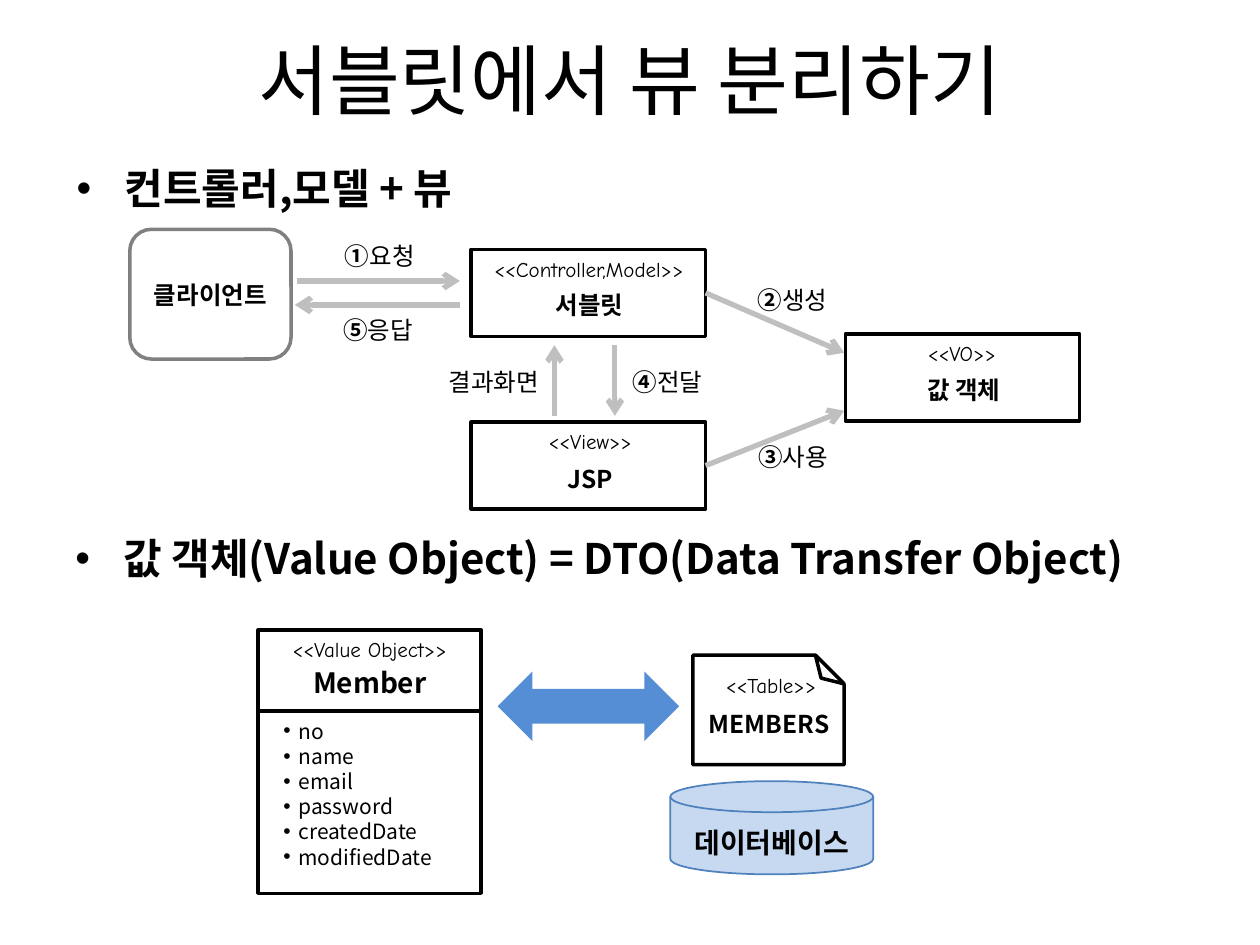
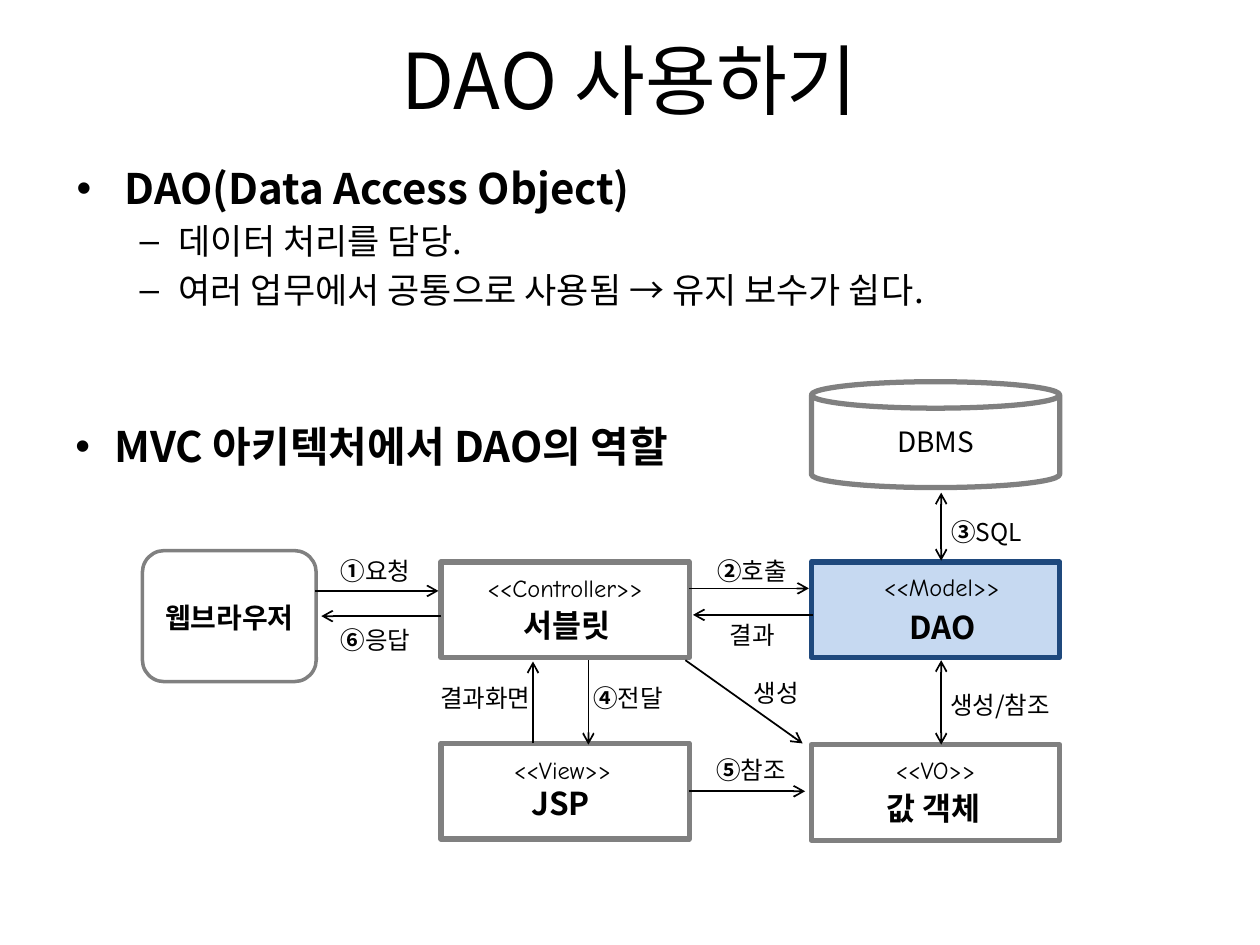
import pptx
import pptx.util
import pptx.dml.color
import pptx.enum.shapes
import pptx.enum.text
import pptx.oxml.ns
import lxml.etree

Inches = pptx.util.Inches
Pt = pptx.util.Pt
qn = pptx.oxml.ns.qn
SHAPE = pptx.enum.shapes.MSO_SHAPE
ALIGN = pptx.enum.text.PP_ALIGN
FIT = pptx.enum.text.MSO_AUTO_SIZE
color = pptx.dml.color.RGBColor.from_string

KOREAN = "Noto Sans CJK KR"
BLACK = "000000"
WHITE = "FFFFFF"
GRAY = "808080"
LIGHT_GRAY = "BFBFBF"
PALE_BLUE = "C6D9F1"
CIRCLED = "①②③④⑤⑥"

base = {"font": KOREAN, "size": 14, "bold": False, "align": ALIGN.CENTER,
        "insets": (0.1, 0.05, 0.1, 0.05), "indent": (0, 0), "level": 0,
        "bullet": None, "before": 0, "fit": FIT.SHAPE_TO_FIT_TEXT}
title_style = base | {"size": 44, "fit": FIT.NONE}
heading = base | {"size": 24, "bold": True, "align": ALIGN.LEFT, "bullet": "•",
                  "indent": (0.38, -0.38), "fit": FIT.NONE}
role_heading = heading | {"indent": (0.31, -0.31), "fit": FIT.SHAPE_TO_FIT_TEXT}
detail = heading | {"size": 20, "bold": False, "bullet": "–", "level": 1,
                    "indent": (0.81, -0.31), "before": 4}
stereotype = base | {"font": "Comic Neue", "size": 12}
large_stereotype = stereotype | {"size": 14}
name = base | {"bold": True}
medium_name = name | {"size": 16}
large_name = name | {"size": 18}
database_name = medium_name | {"insets": (0.1, 0, 0.1, 0)}
label = base | {"insets": (0, 0, 0, 0), "indent": (0.04, 0)}
left_label = label | {"align": ALIGN.LEFT}
right_label = label | {"align": ALIGN.RIGHT}
field = base | {"size": 12, "align": ALIGN.LEFT, "insets": (0, 0.05, 0, 0.05),
                "indent": (0.16, -0.12), "bullet": "•"}
plain = base | {"size": 16, "fit": FIT.NONE}


def write(frame, lines):
    style = lines[0][1]
    left, top, right, bottom = map(Inches, style["insets"])
    frame_format = {"word_wrap": True, "auto_size": style["fit"], "margin_left": left,
                    "margin_top": top, "margin_right": right, "margin_bottom": bottom}
    for attribute, value in frame_format.items():
        setattr(frame, attribute, value)
    for index, (text, style) in enumerate(lines):
        paragraph = frame.paragraphs[0] if index == 0 else frame.add_paragraph()
        paragraph_format = {"alignment": style["align"], "level": style["level"],
                            "space_before": Pt(style["before"])}
        for attribute, value in paragraph_format.items():
            setattr(paragraph, attribute, value)
        properties = paragraph._p.get_or_add_pPr()
        for attribute, value in zip(("marL", "indent"), style["indent"]):
            properties.set(attribute, str(Inches(value)))
        if style["bullet"]:
            lxml.etree.SubElement(properties, qn("a:buFont")).set("typeface", "Arial")
            lxml.etree.SubElement(properties, qn("a:buChar")).set("char", style["bullet"])
        parts = [(text, style["bold"])]
        if text[0] in CIRCLED:
            parts = [(text[0], True), (text[1:], False)]
        for part, bold in parts:
            run = paragraph.add_run()
            run.text = part
            run.font.color.rgb = color(BLACK)
            run_format = {"name": style["font"], "size": Pt(style["size"]), "bold": bold}
            for attribute, value in run_format.items():
                setattr(run.font, attribute, value)
            east_asian = lxml.etree.SubElement(run._r.get_or_add_rPr(), qn("a:ea"))
            east_asian.set("typeface", style["font"])


view_slide = {
    "title": "서블릿에서 뷰 분리하기",
    "shapes": {
        "servlet": (SHAPE.RECTANGLE, (3.74, 1.98, 1.86, 0.69), None, BLACK, 2),
        "client": (SHAPE.ROUNDED_RECTANGLE, (1.03, 1.82, 1.28, 1.03), None, GRAY, 2),
        "jsp": (SHAPE.RECTANGLE, (3.74, 3.35, 1.86, 0.69), None, BLACK, 2),
        "value object": (SHAPE.RECTANGLE, (6.71, 2.65, 1.86, 0.69), None, BLACK, 2),
        "member": (SHAPE.RECTANGLE, (2.05, 5, 1.77, 2.09), WHITE, BLACK, 2),
        "database": (SHAPE.FLOWCHART_MAGNETIC_DISK, (5.32, 6.2, 1.61, 0.74),
                     PALE_BLUE, "4F81BD", 1),
        "table": (SHAPE.FOLDED_CORNER, (5.5, 5.2, 1.2, 0.87), None, BLACK, 2),
        "mapping": (SHAPE.LEFT_RIGHT_ARROW, (3.95, 5.33, 1.44, 0.55), "558ED5", None, 0),
    },
    "lines": [
        ((5.6, 2.32, 6.7, 2.8), LIGHT_GRAY, 3, ["tailEnd"], "servlet"),
        ((5.6, 3.69, 6.7, 3.26), LIGHT_GRAY, 3, ["tailEnd"], "jsp"),
        ((4.88, 2.74, 4.88, 3.3), LIGHT_GRAY, 3, ["tailEnd"], None),
        ((4.4, 3.3, 4.4, 2.74), LIGHT_GRAY, 3, ["tailEnd"], None),
        ((2.36, 2.23, 3.65, 2.23), LIGHT_GRAY, 3, ["tailEnd"], None),
        ((3.65, 2.42, 2.34, 2.42), LIGHT_GRAY, 3, ["tailEnd"], None),
        ((2.05, 5.64, 3.82, 5.64), BLACK, 2.25, [], None),
    ],
    "texts": [
        ((0.51, 1.24, 8.82, 0.66), heading, ["컨트롤러,모델 + 뷰"]),
        ((0.5, 4.18, 8.82, 0.66), heading,
         ["값 객체(Value Object) = DTO(Data Transfer Object)"]),
        ((3.74, 1.99, 1.87, 0.31), stereotype, ["<<Controller,Model>>"]),
        ((3.74, 2.25, 1.88, 0.33), name, ["서블릿"]),
        ((1.03, 2.17, 1.28, 0.68), name, ["클라이언트"]),
        ((3.76, 3.35, 1.85, 0.29), stereotype, ["<<View>>"]),
        ((3.76, 3.63, 1.85, 0.32), name, ["JSP"]),
        ((6.7, 2.65, 1.87, 0.31), stereotype, ["<<VO>>"]),
        ((6.71, 2.93, 1.88, 0.34), name, ["값 객체"]),
        ((2.33, 1.91, 1.33, 0.24), label, ["①요청"]),
        ((2.31, 2.5, 1.34, 0.24), label, ["⑤응답"]),
        ((5.76, 2.26, 1.02, 0.24), label, ["②생성"]),
        ((5.76, 3.51, 1.03, 0.24), label, ["③사용"]),
        ((4.98, 2.91, 0.99, 0.23), left_label, ["④전달"]),
        ((3.18, 2.91, 1.1, 0.24), right_label, ["결과화면"]),
        ((2.05, 5, 1.77, 0.3), stereotype, ["<<Value Object>>"]),
        ((2.05, 5.23, 1.77, 0.37), medium_name, ["Member"]),
        ((2.21, 5.65, 1.46, 1.31), field,
         ["no", "name", "email", "password", "createdDate", "modifiedDate"]),
        ((5.65, 5.29, 0.94, 0.3), stereotype, ["<<Table>>"]),
        ((5.51, 5.58, 1.19, 0.34), name, ["MEMBERS"]),
        ((5.32, 6.55, 1.61, 0.27), database_name, ["데이터베이스"]),
    ],
}

dao_slide = {
    "title": "DAO 사용하기",
    "shapes": {
        "servlet": (SHAPE.RECTANGLE, (3.5, 4.46, 1.97, 0.76), None, GRAY, 3),
        "dao": (SHAPE.RECTANGLE, (6.44, 4.46, 1.97, 0.76), PALE_BLUE, "1F497D", 3),
        "jsp": (SHAPE.RECTANGLE, (3.5, 5.9, 1.97, 0.76), None, GRAY, 3),
        "value object": (SHAPE.RECTANGLE, (6.44, 5.91, 1.97, 0.76), None, GRAY, 3),
        "browser": (SHAPE.ROUNDED_RECTANGLE, (1.13, 4.37, 1.38, 1.04), None, GRAY, 2),
        "DBMS": (SHAPE.CAN, (6.44, 3.03, 1.97, 0.84), None, GRAY, 3),
    },
    "lines": [
        ((7.47, 4.45, 7.47, 3.91), BLACK, 1, ["headEnd", "tailEnd"], None),
        ((7.47, 5.24, 7.47, 5.91), BLACK, 1, ["headEnd", "tailEnd"], None),
        ((4.67, 5.24, 4.67, 5.91), BLACK, 1, ["tailEnd"], None),
        ((4.23, 5.9, 4.23, 5.25), BLACK, 1, ["tailEnd"], None),
        ((2.5, 4.69, 3.48, 4.69), BLACK, 1, ["tailEnd"], None),
        ((3.5, 4.89, 2.55, 4.89), BLACK, 1, ["tailEnd"], None),
        ((5.47, 4.67, 6.42, 4.67), BLACK, 1, ["tailEnd"], None),
        ((6.45, 4.88, 5.5, 4.88), BLACK, 1, ["tailEnd"], None),
        ((5.47, 6.28, 6.39, 6.28), BLACK, 1, ["tailEnd"], "jsp"),
        ((5.44, 5.24, 6.37, 5.9), BLACK, 1, ["tailEnd"], None),
    ],
    "texts": [
        ((0.51, 1.24, 8.82, 1.52), heading,
         ["DAO(Data Access Object)", ("데이터 처리를 담당.", detail),
          ("여러 업무에서 공통으로 사용됨 → 유지 보수가 쉽다.", detail)]),
        ((0.5, 3.29, 7.33, 0.5), role_heading, ["MVC 아키텍처에서 DAO의 역할"]),
        ((3.5, 4.5, 1.97, 0.34), large_stereotype, ["<<Controller>>"]),
        ((3.53, 4.76, 1.94, 0.4), large_name, ["서블릿"]),
        ((6.49, 4.49, 1.97, 0.34), large_stereotype, ["<<Model>>"]),
        ((6.51, 4.78, 1.94, 0.4), large_name, ["DAO"]),
        ((3.48, 5.94, 1.97, 0.34), large_stereotype, ["<<View>>"]),
        ((3.48, 6.17, 1.94, 0.4), large_name, ["JSP"]),
        ((6.44, 5.94, 1.97, 0.34), large_stereotype, ["<<VO>>"]),
        ((6.44, 6.21, 1.94, 0.4), large_name, ["값 객체"]),
        ((1.13, 4.72, 1.38, 0.3), medium_name, ["웹브라우저"]),
        ((2.5, 4.41, 0.92, 0.24), label, ["①요청"]),
        ((2.5, 4.96, 0.92, 0.24), label, ["⑥응답"]),
        ((5.48, 4.41, 0.94, 0.24), label, ["②호출"]),
        ((5.53, 4.92, 0.84, 0.24), label, ["결과"]),
        ((5.53, 5.99, 0.82, 0.24), label, ["⑤참조"]),
        ((4.67, 5.42, 0.66, 0.24), left_label, ["④전달"]),
        ((3.38, 5.42, 0.83, 0.24), right_label, ["결과화면"]),
        ((7.51, 4.1, 1.27, 0.24), left_label, ["③SQL"]),
        ((7.5, 5.48, 1.27, 0.24), left_label, ["생성/참조"]),
        ((5.94, 5.38, 0.59, 0.24), left_label, ["생성"]),
    ],
}

presentation = pptx.Presentation()
presentation.slide_width = Inches(10)
presentation.slide_height = Inches(7.5)

for content in (view_slide, dao_slide):
    slide = presentation.slides.add_slide(presentation.slide_layouts[5])
    title = slide.shapes.title
    title_format = {"left": 0.5, "top": 0, "width": 9, "height": 1.25}
    for attribute, value in title_format.items():
        setattr(title, attribute, Inches(value))
    title.text_frame.vertical_anchor = pptx.enum.text.MSO_ANCHOR.MIDDLE
    write(title.text_frame, [(content["title"], title_style)])

    shapes = {}
    for key, (kind, box, fill, outline, width) in content["shapes"].items():
        shape = slide.shapes.add_shape(kind, *map(Inches, box))
        shape.shadow.inherit = False
        if fill:
            shape.fill.solid()
            shape.fill.fore_color.rgb = color(fill)
        else:
            shape.fill.background()
        if outline:
            shape.line.color.rgb = color(outline)
            shape.line.width = Pt(width)
        else:
            shape.line.fill.background()
        if kind == SHAPE.FOLDED_CORNER:
            properties = shape._element.spPr
            properties.find(qn("a:xfrm")).set("flipV", "1")
            guides = properties.find(qn("a:prstGeom")).find(qn("a:avLst"))
            fold = lxml.etree.SubElement(guides, qn("a:gd"))
            fold.set("name", "adj")
            fold.set("fmla", "val 26200")
        if kind == SHAPE.CAN:
            write(shape.text_frame, [(key, plain)])
        shapes[key] = shape

    for points, stroke, width, arrowheads, source in content["lines"]:
        connector = slide.shapes.add_connector(
            pptx.enum.shapes.MSO_CONNECTOR.STRAIGHT, *map(Inches, points))
        if source:
            connector.begin_connect(shapes[source], 3)
        connector.line.color.rgb = color(stroke)
        connector.line.width = Pt(width)
        for arrowhead in arrowheads:
            end = lxml.etree.SubElement(connector.line._get_or_add_ln(), qn("a:" + arrowhead))
            end.set("type", "arrow")
        lxml.etree.SubElement(connector._element.spPr, qn("a:effectLst"))

    for box, style, lines in content["texts"]:
        text_box = slide.shapes.add_textbox(*map(Inches, box))
        write(text_box.text_frame,
              [line if isinstance(line, tuple) else (line, style) for line in lines])

presentation.save("out.pptx")
